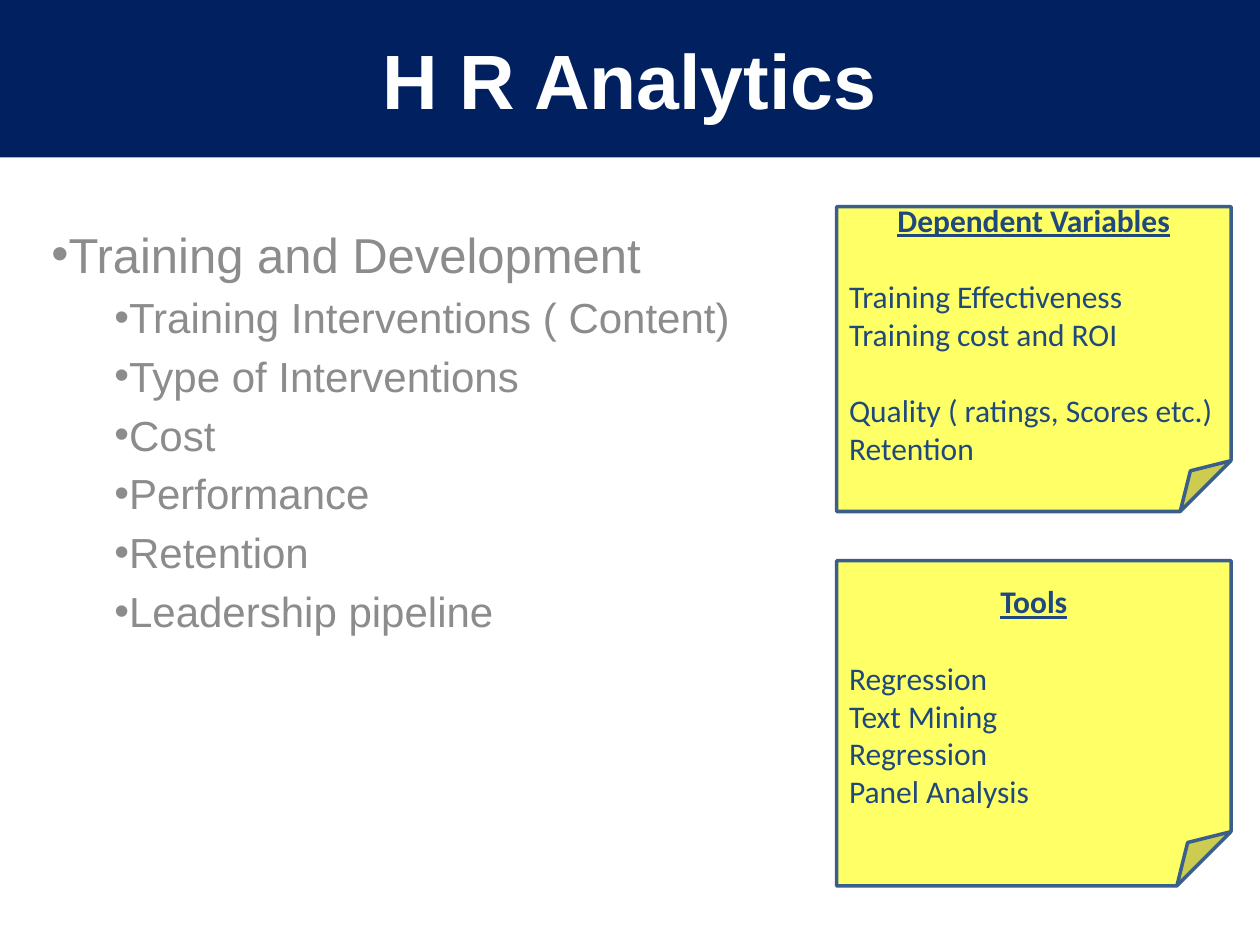
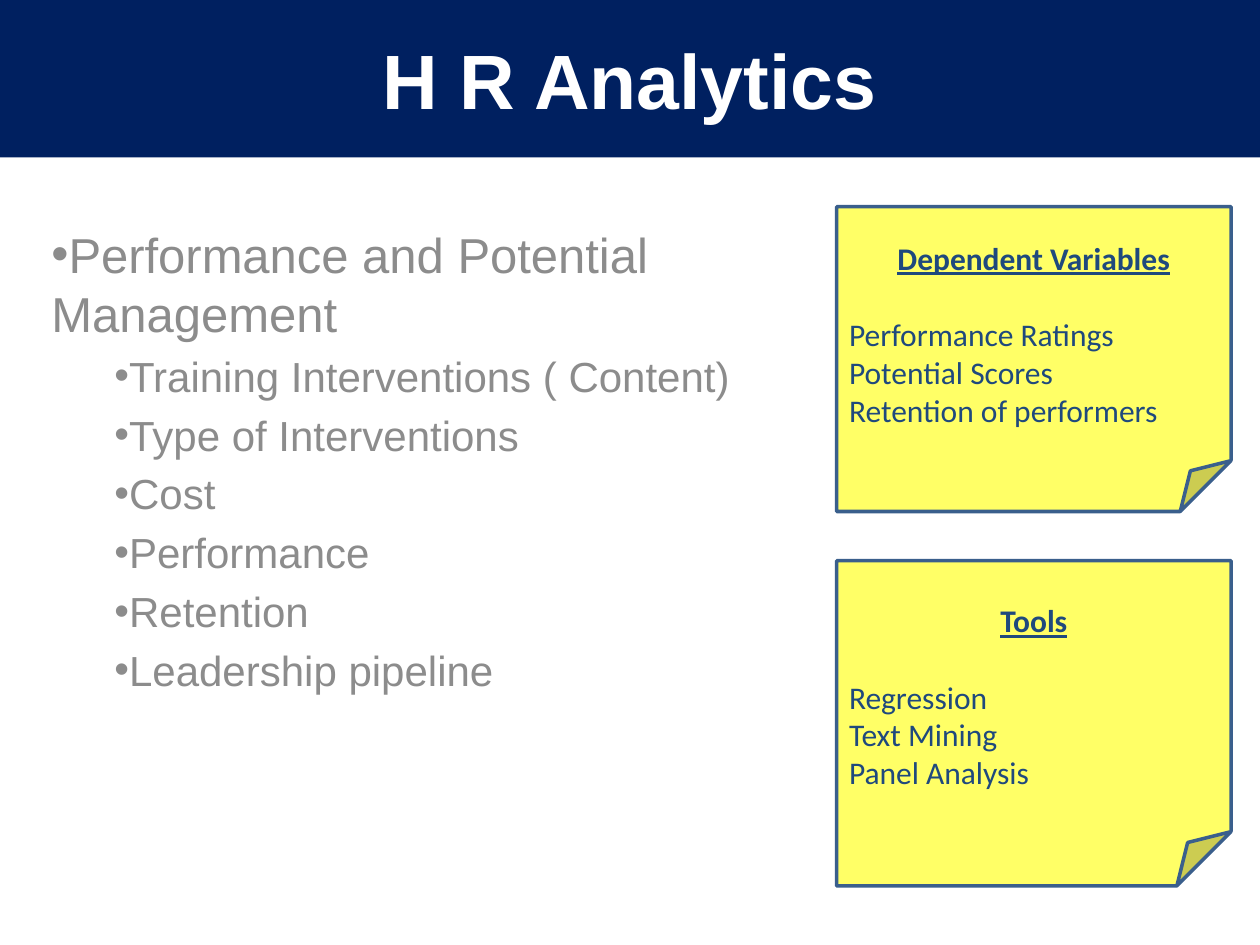
import dataclasses

import pptx
import pptx.dml.color
import pptx.enum.shapes
import pptx.enum.text
import pptx.oxml.ns
import pptx.util
from lxml import etree

Pt = pptx.util.Pt
SHAPES = pptx.enum.shapes.MSO_SHAPE
ALIGN = pptx.enum.text.PP_ALIGN
MIDDLE = pptx.enum.text.MSO_ANCHOR.MIDDLE

COLOURS = {
    "band": "002060",
    "title": "FFFFFF",
    "topic": "8C8C8C",
    "note": "FFFF66",
    "note_edge": "3A5F8C",
    "note_text": "1F497D",
}
SLIDE_WIDTH, SLIDE_HEIGHT = 720, 540
BAND_HEIGHT = 90
NOTE_LEFT, NOTE_WIDTH = 478.1, 225.4
NOTE_LINE = 22
TITLE = "H R Analytics"
ASPECTS = [
    "Training Interventions ( Content)",
    "Type of Interventions",
    "Cost",
    "Performance",
    "Retention",
    "Leadership pipeline",
]


@dataclasses.dataclass
class Note:
    """A folded note; each group of lines is set off by one line of space."""
    heading: str
    groups: list[list[str]]
    top: float
    height: float


@dataclasses.dataclass
class Topic:
    name: str
    outcomes: list[list[str]]
    tools: list[str]

    def notes(self) -> list[Note]:
        return [
            Note("Dependent Variables", self.outcomes, 118.1, 174.2),
            Note("Tools", [self.tools], 320.4, 185.8),
        ]


TOPICS = [
    Topic(
        "Training and Development",
        [["Training Effectiveness", "Training cost and ROI"],
         ["Quality ( ratings, Scores etc.)", "Retention"]],
        ["Regression", "Text Mining", "Regression", "Panel Analysis"],
    ),
    Topic(
        "Performance and Potential Management",
        [["Performance Ratings", "Potential Scores", "Retention of performers"]],
        ["Regression", "Text Mining", "Panel Analysis"],
    ),
]


def rgb(name: str) -> pptx.dml.color.RGBColor:
    return pptx.dml.color.RGBColor.from_string(COLOURS[name])


def style(paragraph, font: str, size: float, colour: str,
          bold: bool = False, underline: bool = False) -> None:
    for run in paragraph.runs:
        run.font.name = font
        run.font.size = Pt(size)
        run.font.color.rgb = rgb(colour)
        run.font.bold = bold
        run.font.underline = underline


def add_filled(slide, kind, left: float, top: float, width: float,
               height: float, colour: str):
    shape = slide.shapes.add_shape(kind, Pt(left), Pt(top), Pt(width), Pt(height))
    shape.shadow.inherit = False
    shape.fill.solid()
    shape.fill.fore_color.rgb = rgb(colour)
    shape.text_frame.word_wrap = True
    shape.text_frame.vertical_anchor = MIDDLE
    return shape


def add_title_band(slide) -> None:
    band = add_filled(slide, SHAPES.RECTANGLE, 0, 0, SLIDE_WIDTH, BAND_HEIGHT, "band")
    band.line.fill.background()
    band.text_frame.text = TITLE
    title = band.text_frame.paragraphs[0]
    title.alignment = ALIGN.CENTER
    style(title, "Arial", 44, "title", bold=True)


def add_bullet(paragraph, indent: float) -> None:
    """Give the paragraph a bullet and 20 % of a line of space before it."""
    qn = pptx.oxml.ns.qn
    properties = paragraph._p.get_or_add_pPr()
    properties.set("marL", str(Pt(indent)))
    properties.set("indent", "0")
    space = etree.SubElement(properties, qn("a:spcBef"))
    etree.SubElement(space, qn("a:spcPct"), val="20000")
    etree.SubElement(properties, qn("a:buFont"), typeface="Arial")
    etree.SubElement(properties, qn("a:buChar"), char="•")


def add_outline(slide, topic: str) -> None:
    frame = slide.shapes.add_textbox(Pt(22.3), Pt(124.6), Pt(409.7), Pt(331.2)).text_frame
    frame.word_wrap = True
    frame.text = "\n".join([topic, *ASPECTS])
    for position, paragraph in enumerate(frame.paragraphs):
        paragraph.level = min(position, 1)
        add_bullet(paragraph, 36 * paragraph.level)
        style(paragraph, "Arial", 24 if paragraph.level else 28, "topic")


def add_note(slide, note: Note) -> None:
    shape = add_filled(slide, SHAPES.FOLDED_CORNER, NOTE_LEFT, note.top,
                       NOTE_WIDTH, note.height, "note")
    shape.line.color.rgb = rgb("note_edge")
    shape.line.width = Pt(2)
    frame = shape.text_frame
    frame.text = note.heading
    heading = frame.paragraphs[0]
    heading.alignment = ALIGN.CENTER
    style(heading, "Calibri", 18, "note_text", bold=True, underline=True)
    for group in note.groups:
        for position, text in enumerate(group):
            line = frame.add_paragraph()
            line.text = text
            line.alignment = ALIGN.LEFT
            line.space_before = Pt(0 if position else NOTE_LINE)
            style(line, "Calibri", 18, "note_text")


def main() -> None:
    deck = pptx.Presentation()
    deck.slide_width, deck.slide_height = Pt(SLIDE_WIDTH), Pt(SLIDE_HEIGHT)
    for topic in TOPICS:
        slide = deck.slides.add_slide(deck.slide_layouts[6])
        add_title_band(slide)
        add_outline(slide, topic.name)
        for note in topic.notes():
            add_note(slide, note)
    deck.save("out.pptx")


if __name__ == "__main__":
    main()
